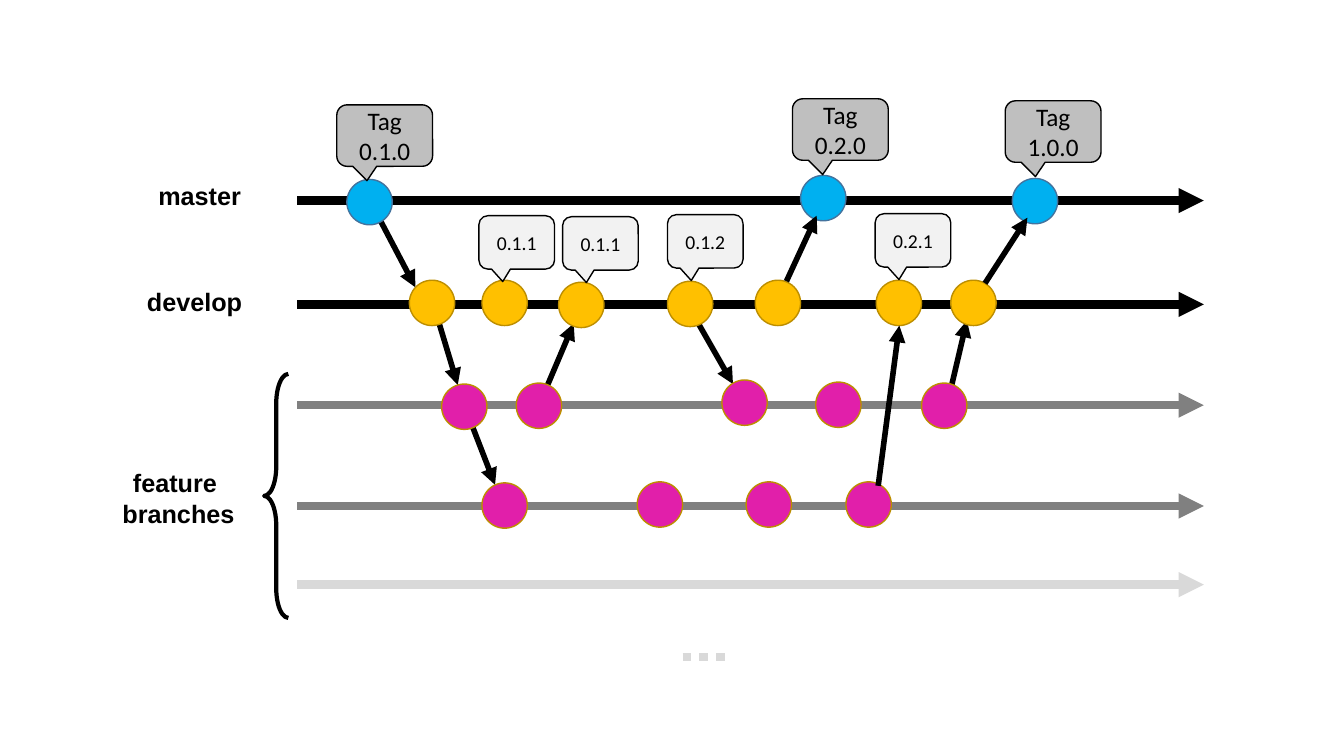
"""Draw a Git branching diagram with master, develop and feature branches."""
import pptx
import pptx.dml.color
import pptx.enum.dml
import pptx.enum.shapes
import pptx.enum.text
import pptx.oxml.ns
import pptx.util
from lxml import etree

Inches = pptx.util.Inches
Pt = pptx.util.Pt
SHAPES = pptx.enum.shapes.MSO_SHAPE

COLORS = {
    "black": "000000",
    "feature_lane": "808080",
    "pale_lane": "D9D9D9",
    "master": "00B0F0",
    "master_edge": "43739E",
    "develop": "FFC000",
    "develop_edge": "BD8E00",
    "feature": "E11FAA",
    "release_tag": "BFBFBF",
    "develop_tag": "F2F2F2",
}
LANE_START, LANE_END = 2.95, 11.94
COMMIT_SIZE = 0.45

LANES = [(1.99, "black"), (3.02, "black"), (4.02, "feature_lane"),
         (5.02, "feature_lane")]
PALE_LANE_TOP, ELLIPSIS_TOP = 5.8, 6.52

ARROWS_BEHIND = [
    (6.91, 3.18, 7.27, 3.81), (5.41, 3.87, 5.69, 3.21),
    (9.43, 3.86, 9.59, 3.18), (4.62, 4.06, 4.91, 4.81),
    (4.29, 2.99, 4.54, 3.82), (3.69, 2.03, 4.12, 2.85),
]
ARROWS_IN_FRONT = [
    (8.71, 4.82, 8.92, 3.23), (9.77, 2.81, 10.19, 2.16),
    (7.8, 2.79, 8.1, 2.14),
]
COMMITS = [
    ("master", "master_edge", [(3.44, 1.78), (7.94, 1.74), (10.04, 1.77)]),
    ("develop", "develop_edge", [
        (4.06, 2.78), (4.78, 2.78), (5.54, 2.8), (6.62, 2.79),
        (7.49, 2.78), (8.69, 2.78), (9.43, 2.78)]),
    ("feature", "develop_edge", [
        (4.38, 3.81), (5.12, 3.8), (7.16, 3.77), (8.09, 3.79), (9.14, 3.8),
        (4.78, 4.79), (6.32, 4.78), (7.4, 4.78), (8.39, 4.78)]),
]
LABELS = [
    ("feature \nbranches", 1.1, 4.59, 0.71),
    ("develop", 1.26, 2.79, 0.4),
    ("master", 1.31, 1.74, 0.4),
]
RELEASE_TAGS = [("Tag\n0.1.0", 3.34, 1.04), ("Tag\n0.2.0", 7.86, 0.98),
                ("Tag\n1.0.0", 9.97, 1)]
DEVELOP_TAGS = [("0.1.1", 4.75, 2.14), ("0.1.1", 5.58, 2.15),
                ("0.1.2", 6.62, 2.13), ("0.2.1", 8.68, 2.12)]


def rgb(name):
    """Return the named colour."""
    return pptx.dml.color.RGBColor.from_string(COLORS[name])


def style_line(line, color, width):
    """Set the colour and width of a line."""
    line.color.rgb = rgb(color)
    line.width = Pt(width)


def add_line(page, ends, color, width, arrow=True):
    """Add a straight line, with an arrowhead at its end if wanted."""
    connector = page.shapes.add_connector(
        pptx.enum.shapes.MSO_CONNECTOR.STRAIGHT, *map(Inches, ends))
    style_line(connector.line, color, width)
    if arrow:
        etree.SubElement(connector.line._get_or_add_ln(),
                         pptx.oxml.ns.qn("a:tailEnd"), type="triangle")
    etree.SubElement(connector._element.spPr, pptx.oxml.ns.qn("a:effectLst"))
    return connector


def add_shape(page, kind, place, fill, edge, width=1):
    """Add a preset shape without a shadow."""
    shape = page.shapes.add_shape(kind, *map(Inches, place))
    shape.shadow.inherit = False
    if fill:
        shape.fill.solid()
        shape.fill.fore_color.rgb = rgb(fill)
    else:
        shape.fill.background()
    style_line(shape.line, edge, width)
    return shape


def write_text(shape, text, font, size, bold=False):
    """Write centred black text into a shape."""
    frame = shape.text_frame
    frame.word_wrap = True
    para = frame.paragraphs[0]
    para.text = text.replace("\n", "\v")
    para.alignment = pptx.enum.text.PP_ALIGN.CENTER
    for span in para.runs:
        span.font.name = font
        span.font.size = Pt(size)
        span.font.bold = bold
        span.font.color.rgb = rgb("black")


def add_label(page, text, left, top, height):
    """Add a bold branch name."""
    box = page.shapes.add_textbox(*map(Inches, (left, top, 1.34, height)))
    write_text(box, text, "Arial", 18, bold=True)


def add_tags(page, tags, width, height, fill, size):
    """Add version callouts of one size."""
    for text, left, top in tags:
        callout = add_shape(page, SHAPES.ROUNDED_RECTANGULAR_CALLOUT,
                            (left, top, width, height), fill, "black")
        callout.adjustments[0] = -0.185
        callout.adjustments[1] = 0.734
        callout.text_frame.vertical_anchor = pptx.enum.text.MSO_ANCHOR.MIDDLE
        write_text(callout, text, "Calibri", size)


def add_lane(page, top, color):
    """Add the long arrow of one branch."""
    add_line(page, (LANE_START, top, LANE_END, top), color, 6)


def main():
    """Build the slide and save it."""
    deck = pptx.Presentation()
    deck.slide_width, deck.slide_height = Inches(13.33), Inches(7.5)
    page = deck.slides.add_slide(deck.slide_layouts[6])

    for ends in ARROWS_BEHIND:
        add_line(page, ends, "black", 4)
    for top, color in LANES:
        add_lane(page, top, color)
    for fill, edge, places in COMMITS:
        for left, top in places:
            add_shape(page, SHAPES.OVAL,
                      (left, top, COMMIT_SIZE, COMMIT_SIZE), fill, edge)
    for ends in ARROWS_IN_FRONT:
        add_line(page, ends, "black", 4)

    add_lane(page, PALE_LANE_TOP, "pale_lane")
    dots = add_line(page, (6.77, ELLIPSIS_TOP, 7.21, ELLIPSIS_TOP),
                    "pale_lane", 6, arrow=False)
    dots.line.dash_style = pptx.enum.dml.MSO_LINE.ROUND_DOT
    brace = add_shape(page, SHAPES.LEFT_BRACE, (2.62, 3.71, 0.24, 2.42),
                      None, "black", 3)
    brace.adjustments[0] = 1.214

    for label in LABELS:
        add_label(page, *label)
    add_tags(page, RELEASE_TAGS, 0.95, 0.61, "release_tag", 18)
    add_tags(page, DEVELOP_TAGS, 0.75, 0.53, "develop_tag", 14)
    deck.save("out.pptx")


if __name__ == "__main__":
    main()
